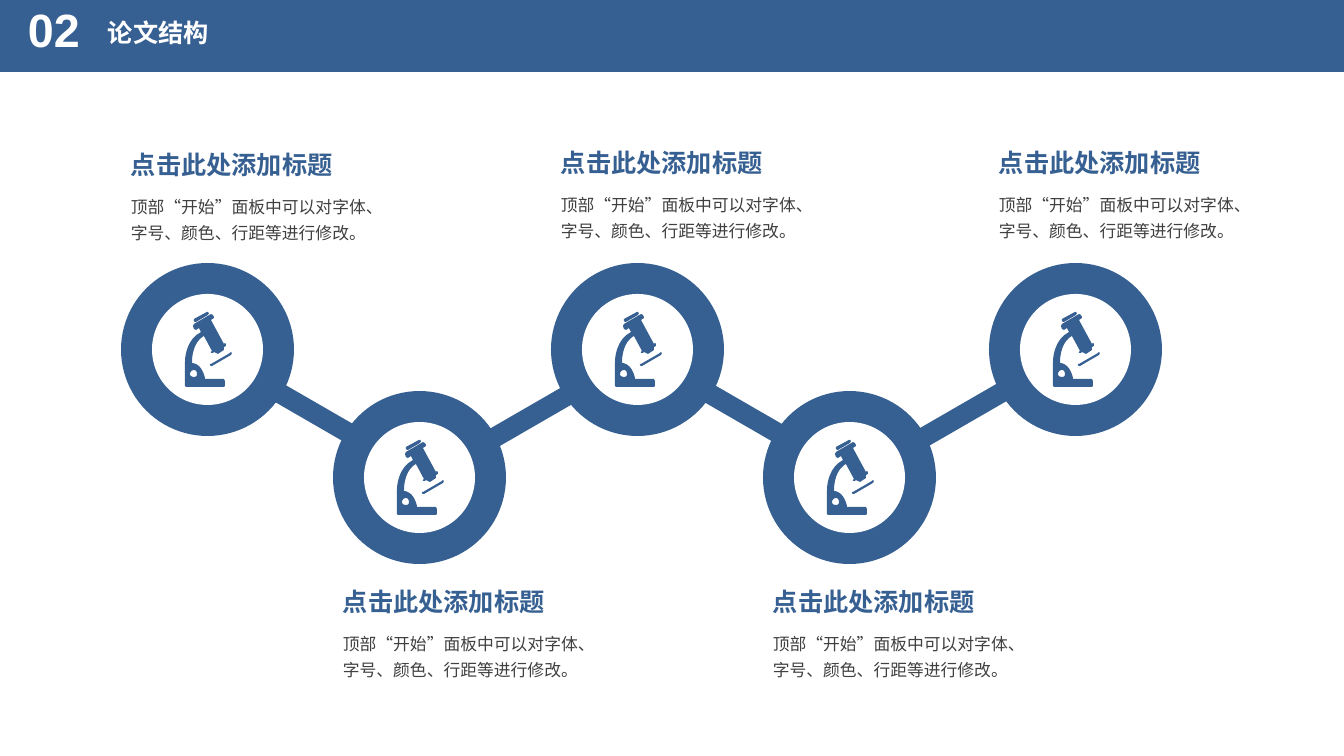
from dataclasses import dataclass

from pptx import Presentation
from pptx.dml.color import RGBColor
from pptx.enum.lang import MSO_LANGUAGE_ID
from pptx.enum.shapes import MSO_SHAPE
from pptx.enum.text import MSO_ANCHOR
from pptx.util import Emu, Pt

RECTANGLE = MSO_SHAPE.RECTANGLE
OVAL = MSO_SHAPE.OVAL
TOP = MSO_ANCHOR.TOP
MIDDLE = MSO_ANCHOR.MIDDLE
CHINESE = MSO_LANGUAGE_ID.SIMPLIFIED_CHINESE

EMU_PER_PIXEL = 914400 / 100.8
CURVE_STEPS = 10


@dataclass(frozen=True)
class Theme:
    """Colours, font and type sizes of the slide."""

    blue: RGBColor = RGBColor(0x37, 0x60, 0x92)
    white: RGBColor = RGBColor(0xFF, 0xFF, 0xFF)
    grey: RGBColor = RGBColor(0x40, 0x40, 0x40)
    font: str = "Arial"
    number: float = 33.3
    heading: int = 18
    body: int = 12


THEME = Theme()

HEADING = "点击此处添加标题"
DESCRIPTION = "顶部“开始”面板中可以对字体、字号、颜色、行距等进行修改。"

RING = 173
RING_BORDER = 31
RING_TOPS = (263, 391)
STEPS = [(121, 144), (333, 581), (551, 142), (763, 581), (989, 142)]
BAR_LEFTS = [262, 485, 691, 914]
BAR_TOP, BAR_WIDTH, BAR_HEIGHT, BAR_ANGLE = 403, 104, 20, 30

# Pairs are straight segments; six numbers are a cubic curve.
EYEPIECE = [(73, 58), (74, 59), (75, 59), (87, 52), (88, 50), (87, 49), (86, 49), (73, 56)]
STAGE = [(89, 101), (89, 102), (90, 103), (91, 103), (110, 92), (111, 90),
         (110, 89), (109, 90), (90, 101)]
STAND = [(64, 100), (64, 123), (65, 124), (103, 124), (104, 123), (104, 118),
         (103, 116), (84, 116), (84, 114, 83, 111, 81, 107),
         (77, 100, 71, 100, 71, 100), (71, 80, 81, 74, 83, 73), (91, 88),
         (90, 89), (90, 90), (92, 90), (93, 89), (97, 91), (103, 87), (103, 84),
         (105, 83), (105, 81), (104, 80), (103, 81), (90, 57), (93, 55), (93, 54),
         (92, 52), (90, 51), (73, 61), (72, 63), (73, 66), (75, 67), (78, 65),
         (80, 69), (63, 78, 64, 100, 64, 100)]
PIVOT = [(73, 107), (75, 107, 76, 109, 76, 111), (76, 113, 75, 114, 73, 114),
         (71, 114, 69, 113, 69, 111), (69, 109, 71, 107, 73, 107)]
MICROSCOPE = [[EYEPIECE], [STAND, PIVOT], [STAGE]]


def px(length):
    """Turn pixels into EMU."""
    return Emu(round(length * EMU_PER_PIXEL))


def paint(shape, color):
    """Give a shape a plain fill without line or shadow."""
    shape.fill.solid()
    shape.fill.fore_color.rgb = color
    shape.line.fill.background()
    shape.shadow.inherit = False


def add_block(shapes, kind, box, color):
    """Add a plain preset shape in the box."""
    shape = shapes.add_shape(kind, *map(px, box))
    paint(shape, color)
    return shape


def add_text(shapes, box, text, size, color, bold=True, spacing=1.0, before=0,
             wrap=True, anchor=TOP):
    """Add one paragraph of text in the box."""
    frame = shapes.add_textbox(*map(px, box)).text_frame
    frame.text = text
    frame.word_wrap = wrap
    frame.vertical_anchor = anchor
    para = frame.paragraphs[0]
    para.line_spacing = spacing
    para.space_before = Pt(before)
    font = para.runs[0].font
    font.name, font.size, font.bold = THEME.font, Pt(size), bold
    font.color.rgb = color
    font.language_id = CHINESE


def trace(outline):
    """Turn an outline with curves into a list of EMU points."""
    points = [outline[0]]
    for step in outline[1:]:
        if len(step) == 2:
            points.append(step)
            continue
        x0, y0 = points[-1]
        x1, y1, x2, y2, x3, y3 = step
        for index in range(1, CURVE_STEPS + 1):
            t = index / CURVE_STEPS
            a, b, c, d = (1 - t) ** 3, 3 * t * (1 - t) ** 2, 3 * t * t * (1 - t), t ** 3
            points.append((a * x0 + b * x1 + c * x2 + d * x3,
                           a * y0 + b * y1 + c * y2 + d * y3))
    return [(px(x), px(y)) for x, y in points]


def add_microscope(shapes, left, top):
    """Draw the microscope icon relative to the corner of its ring."""
    for outlines in MICROSCOPE:
        first, *holes = map(trace, outlines)
        builder = shapes.build_freeform(*first[0], scale=1.0)
        builder.add_line_segments(first[1:], close=True)
        for hole in holes:
            builder.move_to(*hole[0])
            builder.add_line_segments(hole[1:], close=True)
        paint(builder.convert_to_shape(px(left), px(top)), THEME.blue)


def add_ring(page, left, top):
    """Add a grouped ring with the microscope inside."""
    shapes = page.shapes.add_group_shape().shapes
    inner = RING - 2 * RING_BORDER
    add_block(shapes, OVAL, (left, top, RING, RING), THEME.blue)
    add_block(shapes, OVAL, (left + RING_BORDER, top + RING_BORDER, inner, inner), THEME.white)
    add_microscope(shapes, left, top)


def add_caption(page, left, top):
    """Add a grouped heading with its description below."""
    shapes = page.shapes.add_group_shape().shapes
    add_text(shapes, (left, top + 42, 279, 64), DESCRIPTION, THEME.body, THEME.grey,
             bold=False, spacing=1.3)
    add_text(shapes, (left, top, 224, 40), HEADING, THEME.heading, THEME.blue, wrap=False)


def add_header(page, left, top, width, height):
    """Add the title band with section number and name."""
    add_block(page.shapes, RECTANGLE, (left, top, width, height), THEME.blue)
    add_text(page.shapes, (left + 98, top + 16, 421, 40), "论文结构", THEME.heading,
             THEME.white, spacing=0.9, before=10)
    add_text(page.shapes, (left + 18, top + 9, 80, 53), "02", THEME.number,
             THEME.white, spacing=0.7, before=10, anchor=MIDDLE)


def add_chain(page):
    """Add the zigzag of rings, bars and captions."""
    for index, left in enumerate(BAR_LEFTS):
        bar = add_block(page.shapes, RECTANGLE, (left, BAR_TOP, BAR_WIDTH, BAR_HEIGHT), THEME.blue)
        bar.rotation = BAR_ANGLE if index % 2 == 0 else 360 - BAR_ANGLE
    for index, (left, caption_top) in enumerate(STEPS):
        add_ring(page, left, RING_TOPS[index % 2])
        add_caption(page, left, caption_top)


def main():
    """Build and save the deck."""
    deck = Presentation()
    deck.slide_width, deck.slide_height = px(1344), px(756)
    page = deck.slides.add_slide(deck.slide_layouts[6])
    add_header(page, 0, 0, 1344, 72)
    add_chain(page)
    deck.save("out.pptx")


main()
